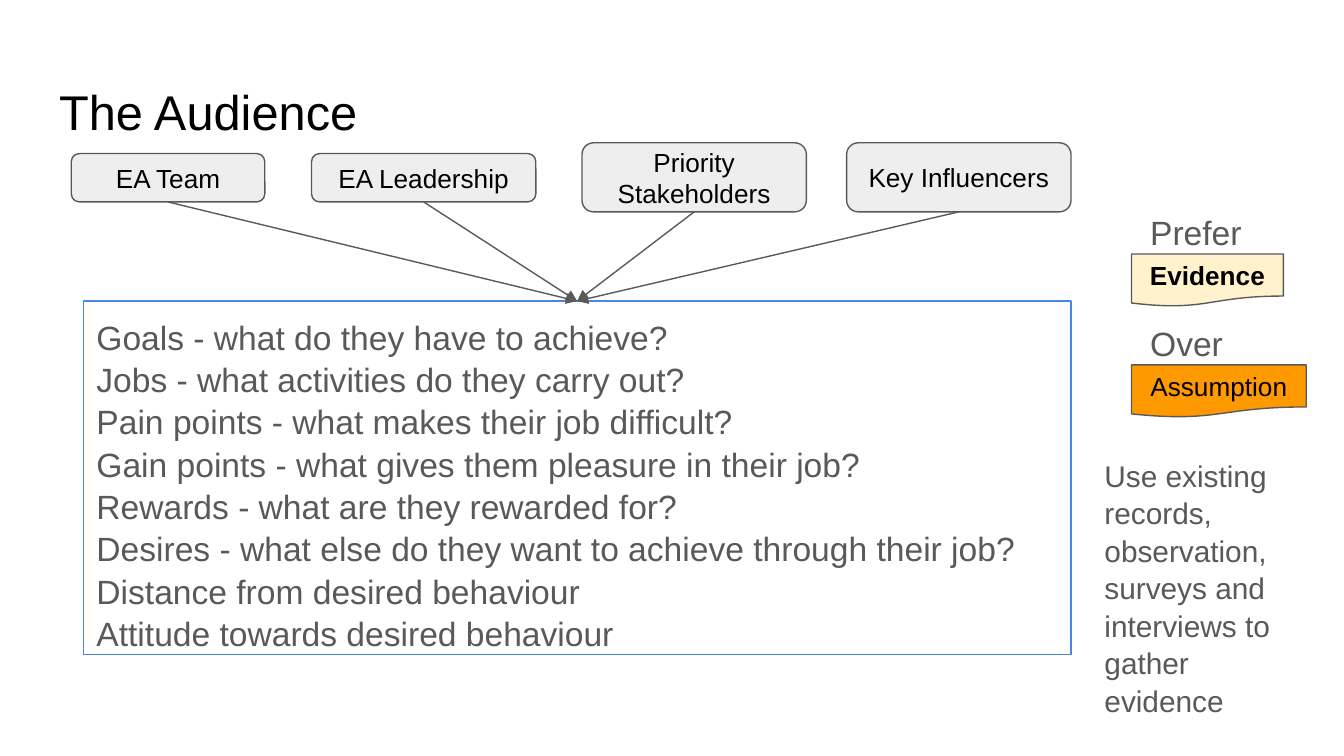
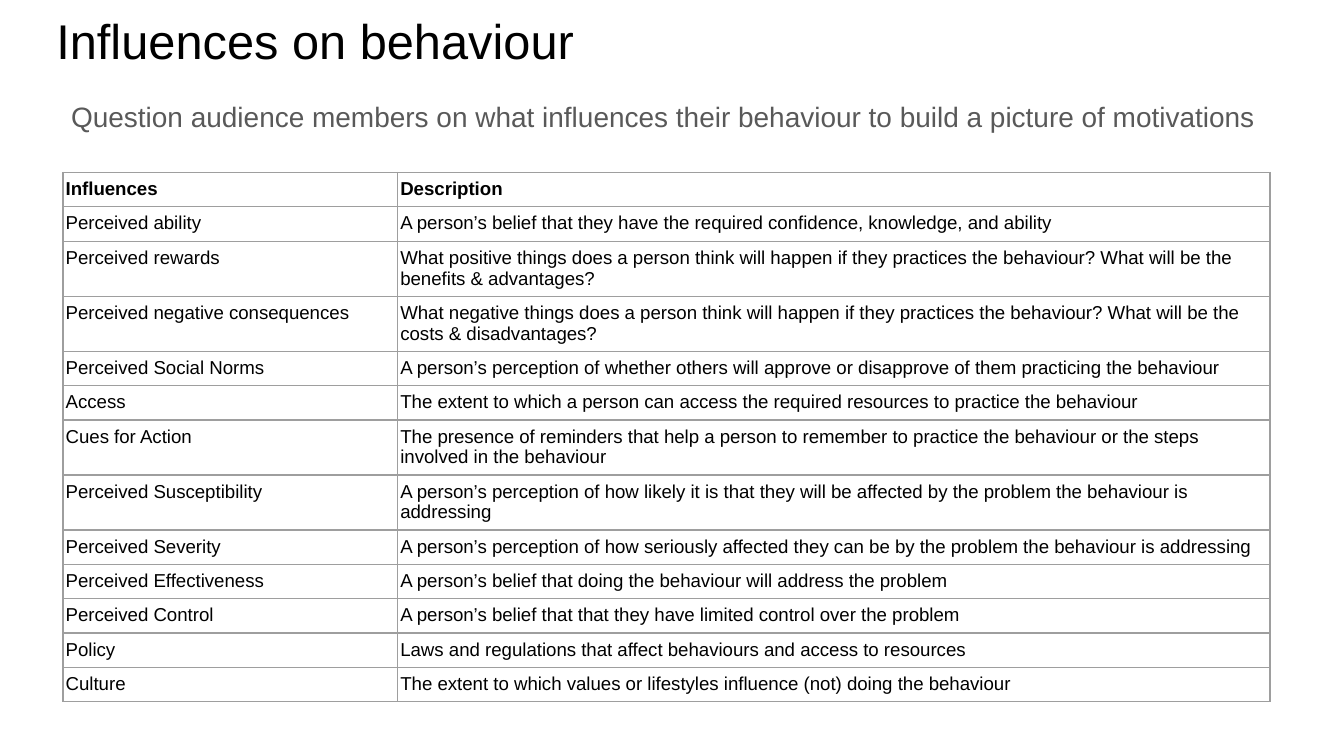
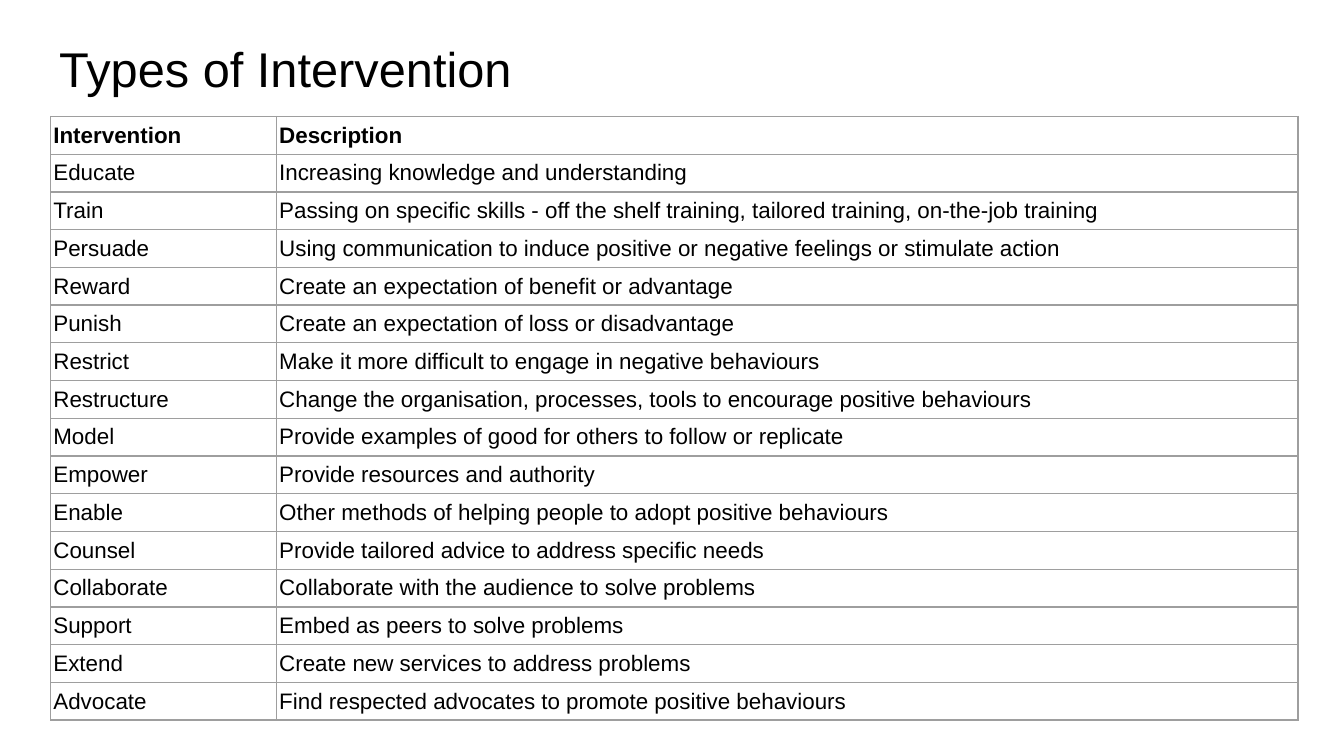
import dataclasses

import pptx
import pptx.dml.color
import pptx.enum.shapes
import pptx.enum.text
import pptx.oxml.ns
import pptx.util
from lxml import etree

Pt = pptx.util.Pt
Shapes = pptx.enum.shapes.MSO_SHAPE
Align = pptx.enum.text.PP_ALIGN
Anchor = pptx.enum.text.MSO_ANCHOR
qn = pptx.oxml.ns.qn


@dataclasses.dataclass(frozen=True)
class Theme:
    font: str = "Arial"
    ink: str = "000000"
    grey: str = "595959"
    panel: str = "EEEEEE"
    blue: str = "4A86E8"
    cream: str = "FFF2CC"
    orange: str = "FF9900"
    grid: str = "9E9E9E"
    title: float = 26.1
    body: float = 18
    note: float = 16
    subtitle: float = 15
    label: float = 14
    line: float = 0.75
    inset: float = 7.2
    spacing: float = 1.05


@dataclasses.dataclass(frozen=True)
class Box:
    left: float
    top: float
    width: float
    height: float

    def inner(self, left, top, width, height):
        return Box(self.left + left, self.top + top, width, height)

    def lengths(self):
        return [Pt(value) for value in dataclasses.astuple(self)]


THEME = Theme()

AUDIENCES = [  # name, left, top, width, height within the diagram
    ("EA Team", 0, 5.8, 103.7, 25.9),
    ("EA Leadership", 128.7, 5.8, 120.2, 25.9),
    ("Priority Stakeholders", 273.6, 0, 120.2, 37),
    ("Key Influencers", 415.4, 0, 120.2, 37),
]
QUESTIONS = [
    "Goals - what do they have to achieve?",
    "Jobs - what activities do they carry out?",
    "Pain points - what makes their job difficult?",
    "Gain points - what gives them pleasure in their job?",
    "Rewards - what are they rewarded for?",
    "Desires - what else do they want to achieve through their job?",
    "Distance from desired behaviour",
    "Attitude towards desired behaviour",
]
PREFERENCES = [  # lead word, source, source width, fill, bold
    ("Prefer", "Evidence", 81.4, THEME.cream, True),
    ("Over", "Assumption", 93.6, THEME.orange, False),
]
INFLUENCES = [
    ("Influences", "Description"),
    ("Perceived ability",
     "A person’s belief that they have the required confidence, knowledge, and ability"),
    ("Perceived rewards",
     "What positive things does a person think will happen if they practices the behaviour? "
     "What will be the benefits & advantages?"),
    ("Perceived negative consequences",
     "What negative things does a person think will happen if they practices the behaviour? "
     "What will be the costs & disadvantages?"),
    ("Perceived Social Norms",
     "A person’s perception of whether others will approve or disapprove of them "
     "practicing the behaviour"),
    ("Access",
     "The extent to which a person can access the required resources to practice the behaviour"),
    ("Cues for Action",
     "The presence of reminders that help a person to remember to practice the behaviour "
     "or the steps involved in the behaviour"),
    ("Perceived Susceptibility",
     "A person’s perception of how likely it is that they will be affected by the problem "
     "the behaviour is addressing"),
    ("Perceived Severity",
     "A person’s perception of how seriously affected they can be by the problem "
     "the behaviour is addressing"),
    ("Perceived Effectiveness",
     "A person’s belief that doing the behaviour will address the problem"),
    ("Perceived Control",
     "A person’s belief that that they have limited control over the problem"),
    ("Policy", "Laws and regulations that affect behaviours and access to resources"),
    ("Culture", "The extent to which values or lifestyles influence (not) doing the behaviour"),
]
INTERVENTIONS = [
    ("Intervention", "Description"),
    ("Educate", "Increasing knowledge and understanding"),
    ("Train", "Passing on specific skills - off the shelf training, tailored training, "
              "on-the-job training"),
    ("Persuade", "Using communication to induce positive or negative feelings or stimulate action"),
    ("Reward", "Create an expectation of benefit or advantage"),
    ("Punish", "Create an expectation of loss or disadvantage"),
    ("Restrict", "Make it more difficult to engage in negative behaviours"),
    ("Restructure", "Change the organisation, processes, tools to encourage positive behaviours"),
    ("Model", "Provide examples of good for others to follow or replicate"),
    ("Empower", "Provide resources and authority"),
    ("Enable", "Other methods of helping people to adopt positive behaviours"),
    ("Counsel", "Provide tailored advice to address specific needs"),
    ("Collaborate", "Collaborate with the audience to solve problems"),
    ("Support", "Embed as peers to solve problems"),
    ("Extend", "Create new services to address problems"),
    ("Advocate", "Find respected advocates to promote positive behaviours"),
]


# Shared building blocks
def colour(value):
    return pptx.dml.color.RGBColor.from_string(value)


def write(frame, lines, size, ink, bold=False, align=Align.LEFT, spacing=1.0):
    frame.text = "\n".join(lines)
    for para in frame.paragraphs:
        para.alignment = align
        para.line_spacing = spacing
        para.font.name = THEME.font
        para.font.size = Pt(size)
        para.font.bold = bold
        para.font.color.rgb = colour(ink)


def set_frame(frame, anchor=Anchor.TOP):
    frame.word_wrap = True
    frame.auto_size = pptx.enum.text.MSO_AUTO_SIZE.NONE
    frame.vertical_anchor = anchor
    frame.margin_left = frame.margin_right = Pt(THEME.inset)
    frame.margin_top = frame.margin_bottom = Pt(THEME.inset)


def add_page(deck, title, box):
    page = deck.slides.add_slide(deck.slide_layouts[5])
    holder = page.shapes.title
    holder.left, holder.top, holder.width, holder.height = box.lengths()
    set_frame(holder.text_frame)
    write(holder.text_frame, [title], THEME.title, THEME.ink, spacing=THEME.spacing)
    return page


def add_text(page, box, text, size):
    frame = page.shapes.add_textbox(*box.lengths()).text_frame
    set_frame(frame)
    write(frame, [text], size, THEME.grey, spacing=THEME.spacing)


def add_outlined(page, kind, box, line, fill=None):
    shape = page.shapes.add_shape(kind, *box.lengths())
    shape.shadow.inherit = False
    shape.line.color.rgb = colour(line)
    shape.line.width = Pt(THEME.line)
    if fill:
        shape.fill.solid()
        shape.fill.fore_color.rgb = colour(fill)
    else:
        shape.fill.background()
    return shape


def add_label(page, kind, box, text, fill, bold=False):
    shape = add_outlined(page, kind, box, THEME.grey, fill)
    set_frame(shape.text_frame, Anchor.MIDDLE)
    write(shape.text_frame, [text], THEME.label, THEME.ink, bold, Align.CENTER)
    return shape


def add_arrow(page, source, target):
    """Join the bottom of one shape to the top of another."""
    arrow = page.shapes.add_connector(pptx.enum.shapes.MSO_CONNECTOR.STRAIGHT, 0, 0, 0, 0)
    arrow.begin_connect(source, 2)
    arrow.end_connect(target, 0)
    arrow.line.color.rgb = colour(THEME.grey)
    arrow.line.width = Pt(THEME.line)
    etree.SubElement(arrow.line._get_or_add_ln(), qn("a:tailEnd"), type="triangle")
    etree.SubElement(arrow._element.spPr, qn("a:effectLst"))


def add_borders(cell):
    properties = cell._tc.get_or_add_tcPr()
    for side in ("lnL", "lnR", "lnT", "lnB"):
        edge = etree.SubElement(properties, qn(f"a:{side}"), w=str(Pt(THEME.line)))
        fill = etree.SubElement(edge, qn("a:solidFill"))
        etree.SubElement(fill, qn("a:srgbClr"), val=THEME.grid)


def add_grid(page, box, rows, first_width, heights, size):
    table = page.shapes.add_table(len(rows), 2, *box.lengths()).table
    table.first_row = table.horz_banding = False
    table.columns[0].width = Pt(first_width)
    table.columns[1].width = Pt(box.width - first_width)
    for index, (texts, height) in enumerate(zip(rows, heights)):
        table.rows[index].height = Pt(height)
        for cell, text in zip(table.rows[index].cells, texts):
            add_borders(cell)
            cell.fill.background()
            cell.margin_left = cell.margin_right = Pt(1.4)
            cell.margin_top = cell.margin_bottom = Pt(3.4)
            write(cell.text_frame, [text], size, THEME.ink, bold=index == 0)


# Slide 1: audience groups, their questions and the evidence column
def audience_diagram(page, box):
    groups = [add_label(page, Shapes.ROUNDED_RECTANGLE, box.inner(*place), name, THEME.panel)
              for name, *place in AUDIENCES]
    panel = add_outlined(page, Shapes.RECTANGLE, box.inner(6.4, 84.8, 529.2, 189.4), THEME.blue)
    set_frame(panel.text_frame)
    write(panel.text_frame, QUESTIONS, THEME.body, THEME.grey, spacing=THEME.spacing)
    for group in groups:
        add_arrow(page, group, panel)


def evidence_column(page, box):
    for index, (lead, source, width, fill, bold) in enumerate(PREFERENCES):
        top = index * 59.4
        add_label(page, Shapes.FLOWCHART_DOCUMENT, box.inner(21.6, top + 31, width, 28.1),
                  source, fill, bold)
        add_text(page, box.inner(24.5, top, 74.9, 28.1), lead, THEME.body)
    add_text(page, box.inner(0, 131.8, box.width, 146.9),
             "Use existing records, observation, surveys and interviews to gather evidence",
             THEME.note)


def audience_slide(deck):
    page = add_page(deck, "The Audience", Box(24.5, 35.3, 671, 45.4))
    audience_diagram(page, Box(38.2, 76.5, 535.6, 274.2))
    evidence_column(page, Box(584.6, 105.1, 123.8, 278.7))


# Slides 2 and 3: a title above a two-column table
def influences_slide(deck):
    page = add_page(deck, "Influences on behaviour", Box(23, -2.9, 300.2, 45.4))
    two_lines = {2, 3, 6, 7}
    heights = [29.5 if index in two_lines else 18.4 for index in range(len(INFLUENCES))]
    add_grid(page, Box(33.8, 92.4, 646.6, sum(heights)), INFLUENCES, 179.3, heights, 10)
    add_text(page, Box(31, 45.4, 663.1, 46.1),
             "Question audience members on what influences their behaviour "
             "to build a picture of motivations", THEME.subtitle)


def interventions_slide(deck):
    page = add_page(deck, "Types of Intervention", Box(24.5, 12.2, 671, 45.4))
    heights = [16.6] * len(INTERVENTIONS)
    add_grid(page, Box(27.2, 62.4, 668.2, sum(heights)), INTERVENTIONS, 121, heights, 12)


def main():
    deck = pptx.Presentation()
    deck.slide_width, deck.slide_height = Pt(720), Pt(405)
    for build in (audience_slide, influences_slide, interventions_slide):
        build(deck)
    deck.save("out.pptx")


if __name__ == "__main__":
    main()
